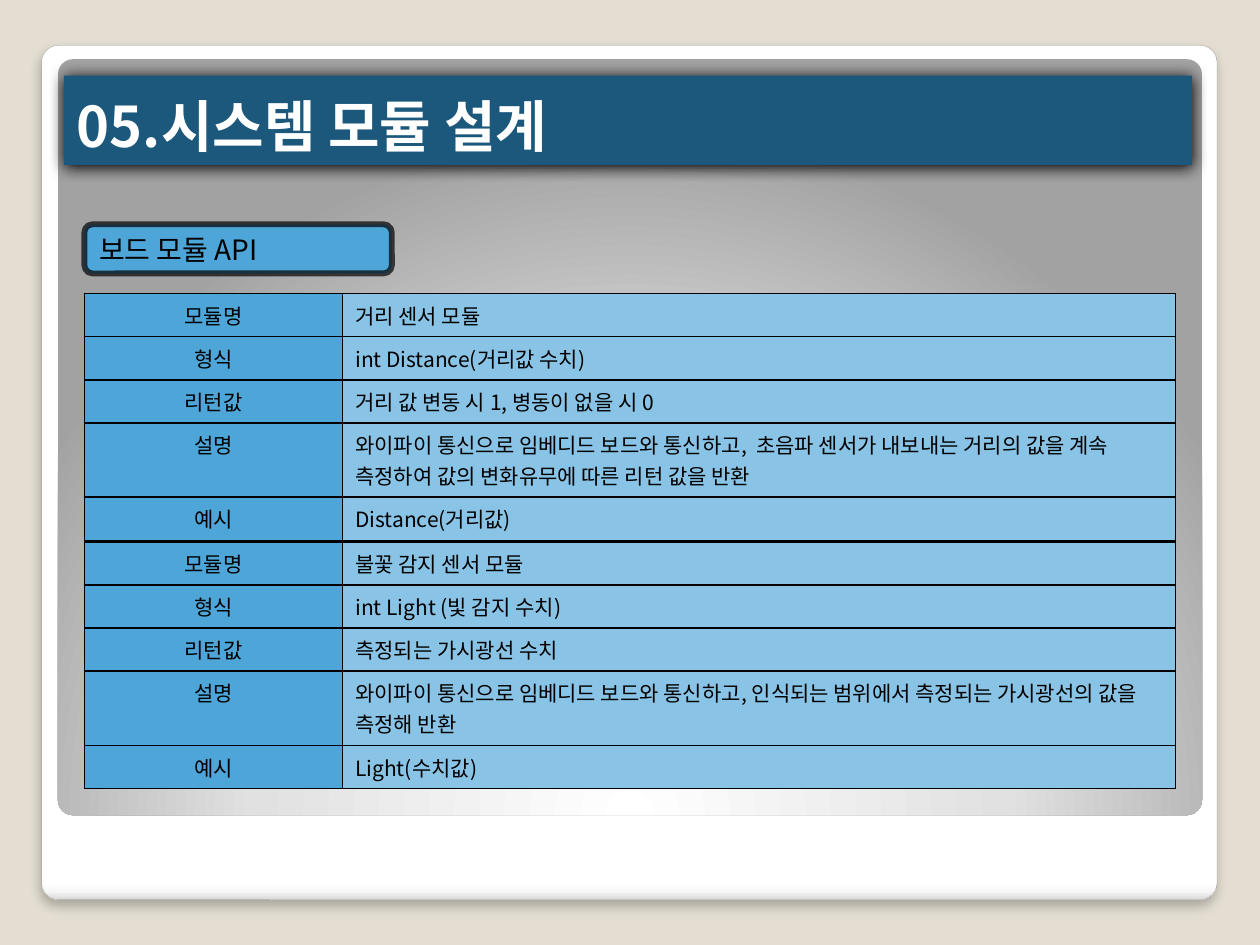
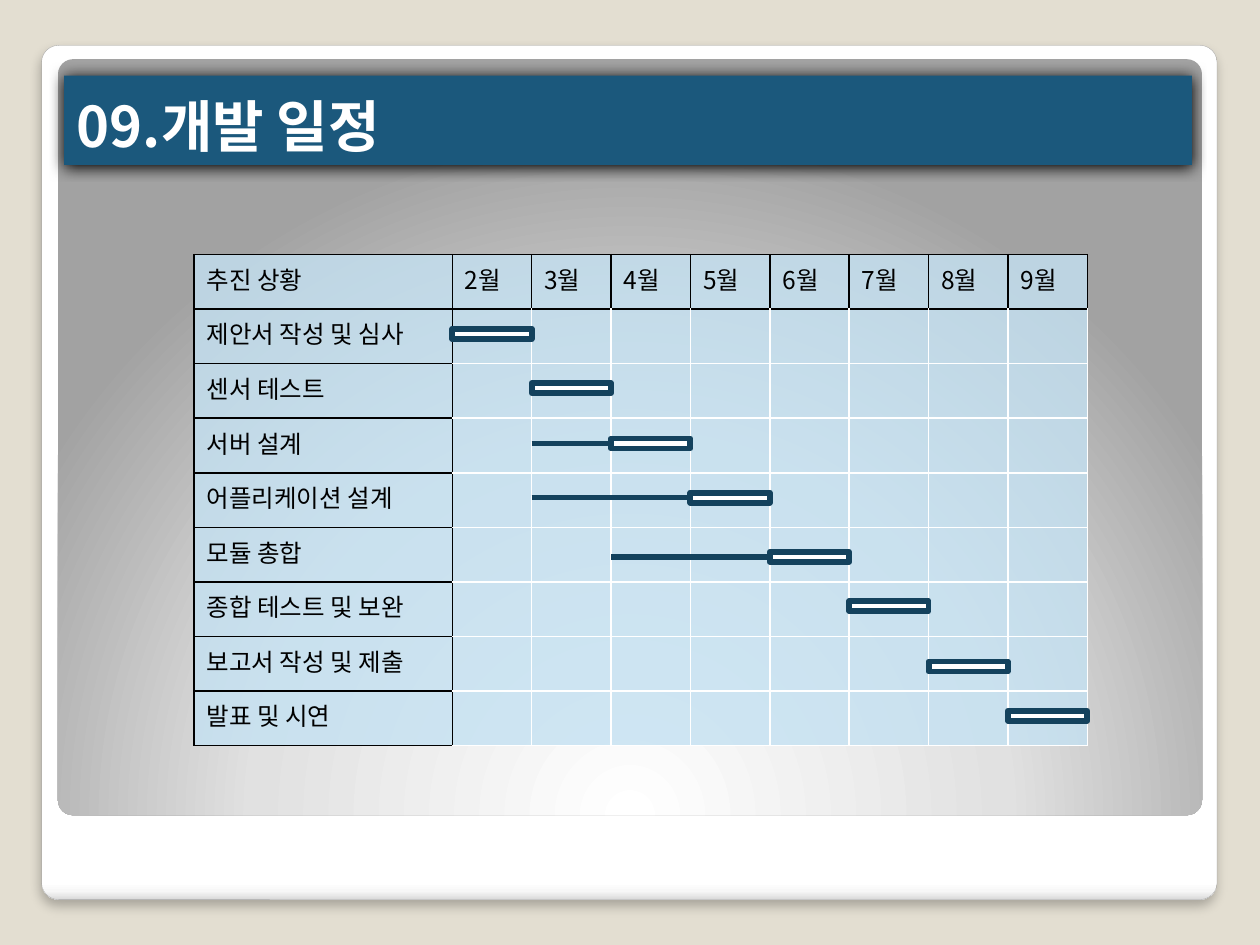
from lxml import etree
from pptx import Presentation
from pptx.dml.color import RGBColor
from pptx.enum.shapes import MSO_CONNECTOR, MSO_SHAPE
from pptx.enum.text import MSO_ANCHOR, PP_ALIGN
from pptx.oxml.ns import qn
from pptx.util import Inches, Pt

RECT, ROUND = MSO_SHAPE.RECTANGLE, MSO_SHAPE.ROUNDED_RECTANGLE
STRAIGHT = MSO_CONNECTOR.STRAIGHT
LEFT, CENTER = PP_ALIGN.LEFT, PP_ALIGN.CENTER
TOP, MIDDLE, BOTTOM = MSO_ANCHOR.TOP, MSO_ANCHOR.MIDDLE, MSO_ANCHOR.BOTTOM

FONT = "Noto Sans CJK KR"
BLACK = RGBColor(0x00, 0x00, 0x00)
WHITE = RGBColor(0xFF, 0xFF, 0xFF)
SAND = RGBColor(0xE3, 0xDE, 0xD1)
GRAY = RGBColor(0xA4, 0xA4, 0xA4)
NAVY = RGBColor(0x1B, 0x58, 0x7C)
INK = RGBColor(0x14, 0x42, 0x5D)
BLUE = RGBColor(0x4E, 0xA5, 0xD8)
SKY = RGBColor(0x89, 0xC3, 0xE5)
ICE = RGBColor(0xC4, 0xE1, 0xF2)

FRAME = [(0, "FFFFFF"), (98, "FFFFFF"), (99, "F7F7F7"), (100, "DADADA")]
GLOW = [(0, "FFFFFF"), (55, "E1E1E1"), (100, "A2A2A2")]

LABELS = ["모듈명", "형식", "리턴값", "설명", "예시"]
RANGE = [
    "거리 센서 모듈",
    "int Distance(거리값 수치)",
    "거리 값 변동 시 1, 병동이 없을 시 0",
    "와이파이 통신으로 임베디드 보드와 통신하고,  초음파 센서가 내보내는 "
    "거리의 값을 계속 측정하여 값의 변화유무에 따른 리턴 값을 반환",
    "Distance(거리값)",
]
FLAME = [
    "불꽃 감지 센서 모듈",
    "int Light (빛 감지 수치)",
    "측정되는 가시광선 수치",
    "와이파이 통신으로 임베디드 보드와 통신하고, 인식되는 범위에서 "
    "측정되는 가시광선의 값을 측정해 반환",
    "Light(수치값)",
]
# Task, top of its bar, months of lead before the bar
TASKS = [
    ("제안서 작성 및 심사", 2.61, 0),
    ("센서 테스트", 3.04, 0),
    ("서버 설계", 3.48, 1),
    ("어플리케이션 설계", 3.91, 2),
    ("모듈 총합", 4.38, 2),
    ("종합 테스트 및 보완", 4.77, 0),
    ("보고서 작성 및 제출", 5.25, 0),
    ("발표 및 시연", 5.64, 0),
]


def node(root, tag, **attrs):
    return etree.SubElement(root, qn(tag), {k: str(v) for k, v in attrs.items()})


def fade(fill, alpha):
    """Set the opacity of a solid fill, in percent."""
    color = fill._xPr.find(".//" + qn("a:srgbClr"))
    node(color, "a:alpha", val=alpha * 1000)


def write(frame, text, size=12, color=BLACK, bold=False, align=LEFT, anchor=TOP):
    frame.word_wrap = True
    frame.vertical_anchor = anchor
    para = frame.paragraphs[0]
    para.alignment = align
    if not text:
        node(para._p, "a:endParaRPr", sz=size * 100)
        return
    run = para.add_run()
    run.text = text
    font = run.font
    font.name, font.size, font.bold = FONT, Pt(size), bold
    font.color.rgb = color
    node(run._r.get_or_add_rPr(), "a:ea", typeface=FONT)


class Deck:
    def __init__(self):
        self.prs = Presentation()
        self.prs.slide_width, self.prs.slide_height = Inches(10), Inches(7.5)
        self.slide = None

    def shape(self, kind, box, fill=None, line=None, width=1, adj=None):
        item = self.slide.shapes.add_shape(kind, *map(Inches, box))
        item.shadow.inherit = False
        if fill is not None:
            item.fill.solid()
            item.fill.fore_color.rgb = fill
        if line is None:
            item.line.fill.background()
        else:
            item.line.color.rgb = line
            item.line.width = Pt(width)
        if adj is not None:
            item.adjustments[0] = adj
        return item

    def blend(self, item, stops, radial=False):
        grad = etree.Element(qn("a:gradFill"), rotWithShape="1")
        items = node(grad, "a:gsLst")
        for pos, color in stops:
            node(node(items, "a:gs", pos=pos * 1000), "a:srgbClr", val=color)
        if radial:
            way = node(grad, "a:path", path="circle")
            node(way, "a:fillToRect", l=50000, t=175000, r=50000, b=-75000)
        else:
            node(grad, "a:lin", ang=5400000, scaled=0)
        item._element.spPr.find(qn("a:prstGeom")).addnext(grad)

    def shade(self, item, alpha, blur, dist):
        effects = item._element.spPr.find(qn("a:effectLst"))
        drop = node(effects, "a:outerShdw", blurRad=Pt(blur), dist=Pt(dist),
                    dir=5400000, algn="t", rotWithShape=0)
        node(node(drop, "a:srgbClr", val=BLACK), "a:alpha", val=alpha * 1000)

    def page(self, title):
        self.slide = self.prs.slides.add_slide(self.prs.slide_layouts[6])
        back = self.slide.background.fill
        back.solid()
        back.fore_color.rgb = SAND
        # White frame with the glowing panel inside
        frame = self.shape(ROUND, (0.33, 0.36, 9.33, 6.78), line=GRAY, width=0.16, adj=0.02)
        self.blend(frame, FRAME)
        self.shade(frame, 25, 6, 4)
        panel = self.shape(ROUND, (0.46, 0.47, 9.08, 6), adj=0.02)
        self.blend(panel, GLOW, radial=True)
        # Title band
        band = self.shape(RECT, (0.51, 0.6, 8.95, 0.71), NAVY)
        self.shade(band, 100, 8.5, 1)
        write(band.text_frame, title, size=32, color=WHITE, bold=True, anchor=BOTTOM)

    def table(self, left, top, cols, rows):
        box = (left, top, sum(cols), sum(rows))
        grid = self.slide.shapes.add_table(len(rows), len(cols), *map(Inches, box)).table
        grid.first_row = grid.horz_banding = False
        for col, width in zip(grid.columns, cols):
            col.width = Inches(width)
        for row, height in zip(grid.rows, rows):
            row.height = Inches(height)
        return grid

    def cell(self, cell, text, fill, edges, alpha=100, **style):
        """Fill one cell; edges are the left, right, top and bottom colours."""
        write(cell.text_frame, text, **style)
        cell.fill.solid()
        cell.fill.fore_color.rgb = fill
        if alpha < 100:
            fade(cell.fill, alpha)
        props = cell._tc.get_or_add_tcPr()
        for spot, (side, color) in enumerate(zip("LRTB", edges)):
            edge = node(props, "a:ln" + side, w=Pt(1))
            node(node(edge, "a:solidFill"), "a:srgbClr", val=color)
            props.insert(spot, edge)

    def line(self, x1, y1, x2, y2):
        item = self.slide.shapes.add_connector(STRAIGHT, *map(Inches, (x1, y1, x2, y2)))
        item.line.color.rgb = INK
        item.line.width = Pt(3)
        node(item._element.spPr, "a:effectLst")


def draw_api(deck):
    deck.page("05.시스템 모듈 설계")
    # One table per sensor
    for top, facts in ((2.33, RANGE), (4.3, FLAME)):
        grid = deck.table(0.67, top, [2.05, 6.61], [0.34, 0.34, 0.34, 0.59, 0.34])
        for row, (label, fact) in enumerate(zip(LABELS, facts)):
            deck.cell(grid.cell(row, 0), label, BLUE, [BLACK] * 4, align=CENTER)
            deck.cell(grid.cell(row, 1), fact, SKY, [BLACK] * 4)
    # Section label
    tag = deck.shape(ROUND, (0.67, 1.78, 2.44, 0.39), BLUE, BLACK, 3.35)
    fade(tag.line.fill, 70)
    write(tag.text_frame, "보드 모듈 API", size=16, anchor=MIDDLE)


def draw_plan(deck):
    deck.page("09.개발 일정")
    left, first, month = 1.54, 2.05, 0.63
    heads = ["추진 상황"] + [f"{num}월" for num in range(2, 10)]
    rows = len(TASKS) + 1
    grid = deck.table(left, 2.02, [first] + [month] * 8, [3.9 / rows] * rows)
    # Black lines round the headings, white lines elsewhere
    for row in range(rows):
        for col, head in enumerate(heads):
            text = head if row == 0 else TASKS[row - 1][0] if col == 0 else ""
            near = BLACK if row == 0 or col == 0 else WHITE
            side = BLACK if row == 0 or col <= 1 else WHITE
            over = BLACK if row <= 1 or col == 0 else WHITE
            deck.cell(grid.cell(row, col), text, ICE, (side, near, over, near),
                      alpha=80, size=14)
    # Bars, one month each, with the lead-in lines
    start, thick = left + first, 0.08
    for step, (_, top, lead) in enumerate(TASKS):
        x = start + step * month
        deck.shape(RECT, (x, top, month, thick), WHITE, INK, 3.35)
        mid = top + thick / 2
        for back in range(lead):
            deck.line(x - (back + 1) * month, mid, x - back * month, mid)


def main():
    deck = Deck()
    draw_api(deck)
    draw_plan(deck)
    deck.prs.save("out.pptx")


if __name__ == "__main__":
    main()
